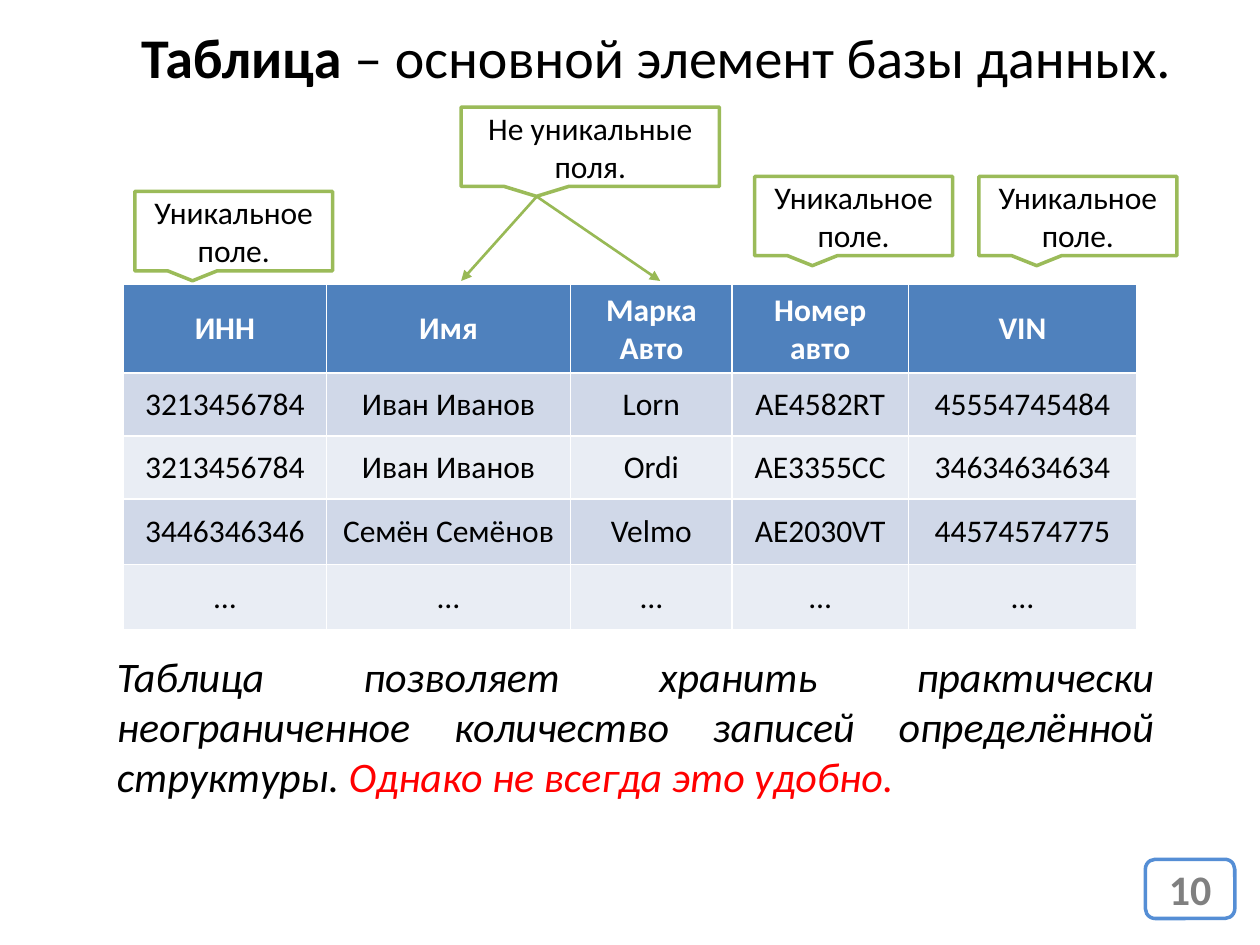
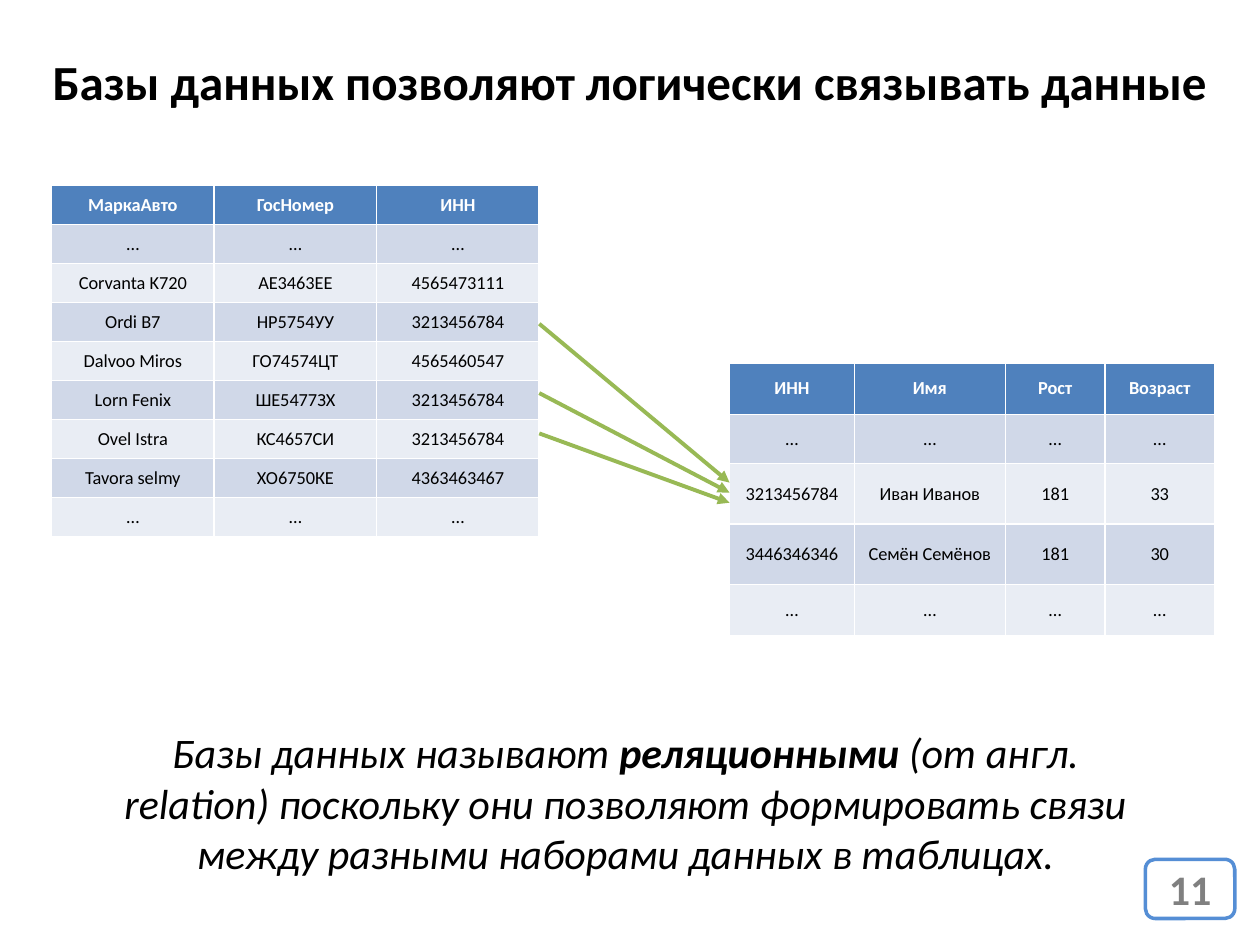
from dataclasses import dataclass

from lxml.etree import SubElement
from pptx import Presentation
from pptx.dml.color import RGBColor
from pptx.enum.shapes import MSO_CONNECTOR, MSO_SHAPE
from pptx.enum.text import MSO_ANCHOR, MSO_AUTO_SIZE, PP_ALIGN
from pptx.oxml.ns import qn
from pptx.presentation import Presentation as PresentationType
from pptx.slide import Slide
from pptx.text.text import TextFrame
from pptx.util import Inches, Pt

COLORS = {
    "text": "000000",
    "white": "FFFFFF",
    "alert": "FF0000",
    "header": "4F81BD",
    "odd_row": "D0D8E8",
    "even_row": "E9EDF4",
    "callout": "9BBB59",
    "arrow": "98B955",
    "number_line": "558ED5",
    "number_text": "808080",
}
FONT = "Calibri"
TITLE_ONLY = 5


@dataclass(frozen=True)
class Box:
    left: float
    top: float
    width: float
    height: float

    def lengths(self) -> tuple:
        return tuple(Inches(v) for v in (self.left, self.top, self.width, self.height))


@dataclass(frozen=True)
class Run:
    text: str
    size: float
    color: str = "text"
    bold: bool = False
    italic: bool = False


@dataclass(frozen=True)
class Panel:
    kind: MSO_SHAPE
    box: Box
    line: str
    run: Run


@dataclass(frozen=True)
class Arrow:
    start: tuple[float, float]
    end: tuple[float, float]
    width: float


@dataclass(frozen=True)
class Grid:
    left: float
    top: float
    columns: list[float]
    row_heights: list[float]
    size: float
    rows: list[list[str]]


NUMBER_BOX = Box(9.09, 6.82, 0.71, 0.47)

OWNERS = Grid(
    0.98, 2.26, [1.61, 1.94, 1.28, 1.4, 1.81], [0.7, 0.5, 0.5, 0.52, 0.52], 18,
    [
        ["ИНН", "Имя", "Марка Авто", "Номер авто", "VIN"],
        ["3213456784", "Иван Иванов", "Lorn", "AE4582RT", "45554745484"],
        ["3213456784", "Иван Иванов", "Ordi", "AE3355CC", "34634634634"],
        ["3446346346", "Семён Семёнов", "Velmo", "AE2030VT", "44574574775"],
        ["…"] * 5,
    ],
)
PEOPLE = Grid(
    5.79, 2.88, [0.99, 1.2, 0.79, 0.87], [0.41, 0.39, 0.48, 0.48, 0.41], 10.5,
    [
        ["ИНН", "Имя", "Рост", "Возраст"],
        ["…"] * 4,
        ["3213456784", "Иван Иванов", "181", "33"],
        ["3446346346", "Семён Семёнов", "181", "30"],
        ["…"] * 4,
    ],
)
CARS = Grid(
    0.41, 1.47, [1.29] * 3, [0.31] * 9, 10.5,
    [
        ["МаркаАвто", "ГосНомер", "ИНН"],
        ["…"] * 3,
        ["Corvanta K720", "АЕ3463ЕЕ", "4565473111"],
        ["Ordi B7", "НР5754УУ", "3213456784"],
        ["Dalvoo Miros", "ГО74574ЦТ", "4565460547"],
        ["Lorn Fenix", "ШЕ5477ЗХ", "3213456784"],
        ["Ovel Istra", "КС4657СИ", "3213456784"],
        ["Tavora selmy", "ХО6750КЕ", "4363463467"],
        ["…"] * 3,
    ],
)


def rgb(name: str) -> RGBColor:
    return RGBColor.from_string(COLORS[name])


def write_text(frame: TextFrame, runs: list[Run], alignment: PP_ALIGN = PP_ALIGN.CENTER) -> None:
    paragraph = frame.paragraphs[0]
    paragraph.alignment = alignment
    for item in runs:
        run = paragraph.add_run()
        run.text = item.text
        formats = {"name": FONT, "size": Pt(item.size), "bold": item.bold, "italic": item.italic}
        for attribute, value in formats.items():
            setattr(run.font, attribute, value)
        run.font.color.rgb = rgb(item.color)


def format_frame(frame: TextFrame, **formats) -> None:
    for attribute, value in formats.items():
        setattr(frame, attribute, value)


def add_panel(slide: Slide, panel: Panel) -> None:
    shape = slide.shapes.add_shape(panel.kind, *panel.box.lengths())
    shape.shadow.inherit = False
    shape.fill.solid()
    shape.fill.fore_color.rgb = rgb("white")
    shape.line.color.rgb = rgb(panel.line)
    shape.line.width = Pt(2)
    format_frame(shape.text_frame, word_wrap=True, vertical_anchor=MSO_ANCHOR.MIDDLE)
    write_text(shape.text_frame, [panel.run])


def add_callout(slide: Slide, text: str, box: Box) -> None:
    add_panel(slide, Panel(MSO_SHAPE.RECTANGULAR_CALLOUT, box, "callout", Run(text, 18)))


def add_arrow(slide: Slide, arrow: Arrow) -> None:
    points = [Inches(value) for value in (*arrow.start, *arrow.end)]
    connector = slide.shapes.add_connector(MSO_CONNECTOR.STRAIGHT, *points)
    connector.line.color.rgb = rgb("arrow")
    connector.line.width = Pt(arrow.width)
    SubElement(connector.line._get_or_add_ln(), qn("a:tailEnd"), type="triangle")
    SubElement(connector._element.spPr, qn("a:effectLst"))


def add_grid(slide: Slide, grid: Grid) -> None:
    box = Box(grid.left, grid.top, sum(grid.columns), sum(grid.row_heights))
    table = slide.shapes.add_table(len(grid.rows), len(grid.columns), *box.lengths()).table
    for column, width in zip(table.columns, grid.columns):
        column.width = Inches(width)
    for index, (row, height, texts) in enumerate(zip(table.rows, grid.row_heights, grid.rows)):
        row.height = Inches(height)
        is_header = index == 0
        fill = "header" if is_header else "odd_row" if index % 2 else "even_row"
        for cell, text in zip(row.cells, texts):
            cell.vertical_anchor = MSO_ANCHOR.MIDDLE
            cell.fill.solid()
            cell.fill.fore_color.rgb = rgb(fill)
            run = Run(text, grid.size, "white" if is_header else "text", bold=is_header)
            write_text(cell.text_frame, [run])


def add_conclusion(slide: Slide, box: Box, runs: list[Run], alignment: PP_ALIGN) -> None:
    frame = slide.shapes.add_textbox(*box.lengths()).text_frame
    format_frame(frame, word_wrap=True, auto_size=MSO_AUTO_SIZE.SHAPE_TO_FIT_TEXT)
    write_text(frame, runs, alignment)


def add_titled_slide(presentation: PresentationType, box: Box, runs: list[Run], number: int) -> Slide:
    slide = presentation.slides.add_slide(presentation.slide_layouts[TITLE_ONLY])
    title = slide.shapes.title
    for attribute, value in zip(("left", "top", "width", "height"), box.lengths()):
        setattr(title, attribute, value)
    format_frame(title.text_frame, word_wrap=False, vertical_anchor=MSO_ANCHOR.TOP,
                 auto_size=MSO_AUTO_SIZE.SHAPE_TO_FIT_TEXT)
    write_text(title.text_frame, runs)
    number_run = Run(str(number), 24, "number_text", bold=True)
    add_panel(slide, Panel(MSO_SHAPE.ROUNDED_RECTANGLE, NUMBER_BOX, "number_line", number_run))
    return slide


def build_table_slide(presentation: PresentationType) -> None:
    title = [Run("Таблица", 32, bold=True), Run(" – основной элемент базы данных.", 32)]
    slide = add_titled_slide(presentation, Box(0.98, 0.13, 8.46, 0.64), title, 10)
    add_grid(slide, OWNERS)
    add_conclusion(slide, Box(0.83, 5.11, 8.43, 1.31), [
        Run("Таблица позволяет хранить практически неограниченное количество записей "
            "определённой структуры. ", 24, italic=True),
        Run("Однако не всегда это удобно.", 24, "alert", italic=True),
    ], PP_ALIGN.JUSTIFY)
    add_callout(slide, "Не уникальные поля.", Box(3.66, 0.85, 2.05, 0.63))
    for left, top in ((1.07, 1.52), (5.99, 1.4), (7.77, 1.4)):
        add_callout(slide, "Уникальное поле.", Box(left, top, 1.57, 0.63))
    for target in (3.66, 5.24):
        add_arrow(slide, Arrow((4.26, 1.56), (target, 2.23), 1.5))


def build_relation_slide(presentation: PresentationType) -> None:
    title = [Run("Базы данных позволяют логически связывать данные", 28, bold=True)]
    slide = add_titled_slide(presentation, Box(0.22, 0.36, 9.55, 0.57), title, 11)
    add_grid(slide, PEOPLE)
    add_conclusion(slide, Box(0.75, 5.72, 8.43, 1.31), [
        Run("Базы данных называют ", 24, italic=True),
        Run("реляционными ", 24, bold=True, italic=True),
        Run("(от англ. relation) поскольку они позволяют формировать связи между "
            "разными наборами данных в таблицах.", 24, italic=True),
    ], PP_ALIGN.CENTER)
    add_grid(slide, CARS)
    cars_right = CARS.left + sum(CARS.columns)
    for index, source in enumerate((2.57, 3.12, 3.44)):
        target = (PEOPLE.left, 3.83 + 0.08 * index)
        add_arrow(slide, Arrow((cars_right, source), target, 2.25))


def main() -> None:
    presentation = Presentation()
    presentation.slide_width = Inches(10)
    presentation.slide_height = Inches(7.5)
    build_table_slide(presentation)
    build_relation_slide(presentation)
    presentation.save("out.pptx")


if __name__ == "__main__":
    main()
